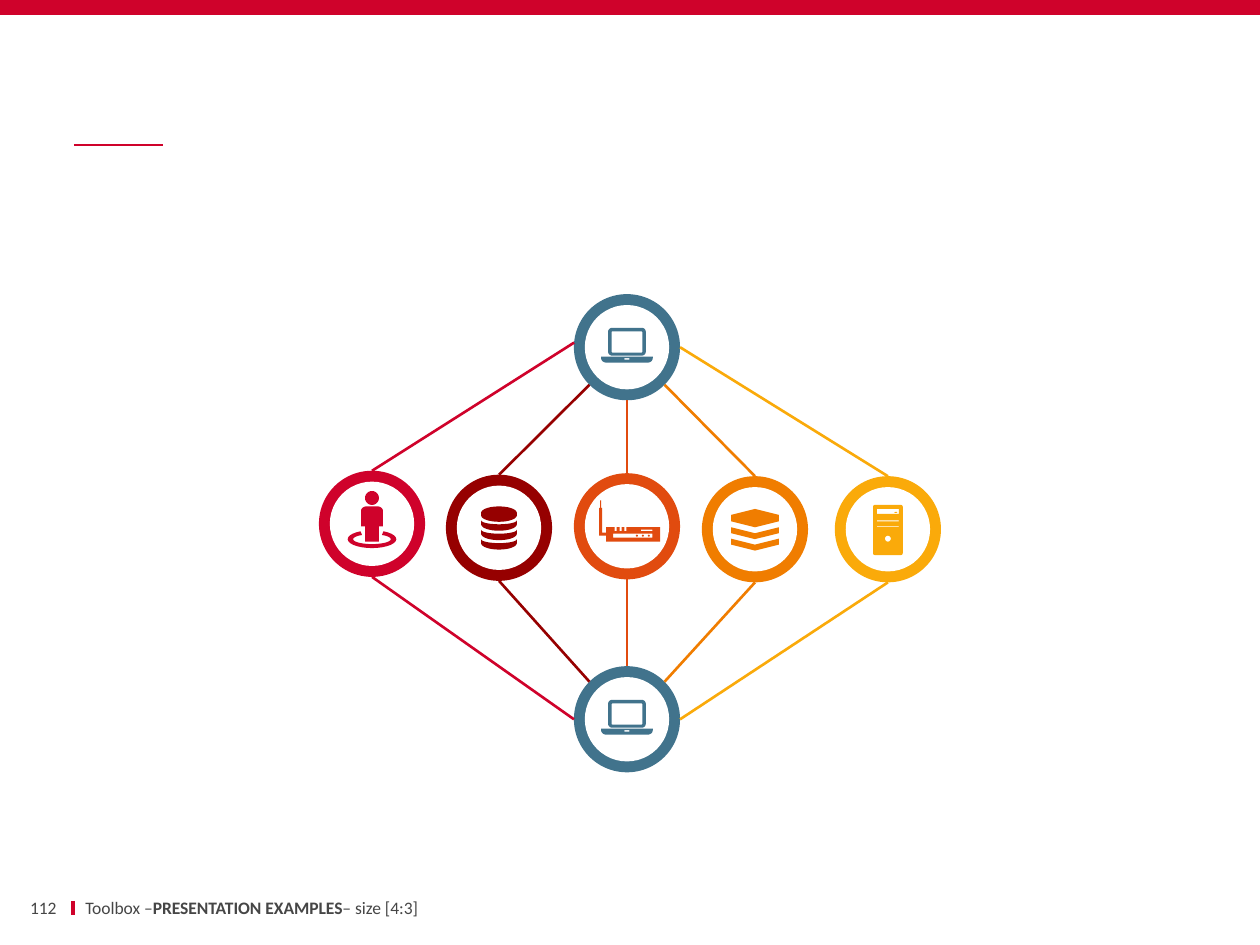
from dataclasses import dataclass
from math import cos, radians, sin

from pptx import Presentation
from pptx import util as u
from pptx.dml.color import RGBColor
from pptx.enum import shapes, text
from pptx.oxml import ns, xmlchemy


@dataclass(frozen=True)
class Theme:
    """Colours, font and sizes used on the page."""
    red: str = "CF022B"
    maroon: str = "960000"
    vermilion: str = "E14B0F"
    orange: str = "F07D00"
    amber: str = "FAAA0A"
    blue: str = "41738C"
    white: str = "FFFFFF"
    grey: str = "464646"
    font: str = "Calibri"
    footer_size: float = 10
    link_width: float = 1.5


THEME = Theme()
RING_RADIUS = 1.07
HOLE_RADIUS = 0.85


def arc(x, y, rx, ry, start, end, steps=24):
    """Return points along an elliptical arc, with angles clockwise from the right."""
    angles = [radians(start + (end - start) * i / steps) for i in range(steps + 1)]
    return [(x + rx * cos(a), y + ry * sin(a)) for a in angles]


def rect(left, top, right, bottom):
    """Return the corners of a rectangle."""
    return [(left, top), (right, top), (right, bottom), (left, bottom)]


def rounded(left, top, right, bottom, r):
    """Return the outline of a rectangle with rounded corners."""
    corners = rect(left + r, top + r, right - r, bottom - r)
    return [point for i, (x, y) in enumerate(corners)
            for point in arc(x, y, r, r, 180 + 90 * i, 270 + 90 * i, 6)]


def laptop():
    """Return the contours of a laptop."""
    base = [(-0.52, 0.19), (0.52, 0.19)]
    base += arc(0.42, 0.22, 0.1, 0.09, 0, 90) + arc(-0.42, 0.22, 0.1, 0.09, 90, 180)
    return [rounded(-0.38, -0.39, 0.38, 0.17, 0.08),
            rounded(-0.31, -0.32, 0.31, 0.11, 0.02),
            base, rect(-0.05, 0.22, 0.05, 0.25)]


def person():
    """Return the contours of a person standing in a ring."""
    body = arc(-0.11, -0.26, 0.11, 0.09, 180, 270) + arc(0.11, -0.26, 0.11, 0.09, 270, 360)
    body += [(0.22, 0.05), (0.14, 0.05), (0.14, 0.36),
             (-0.14, 0.36), (-0.14, 0.05), (-0.22, 0.05)]
    ring = arc(0, 0.31, 0.49, 0.18, -62, 242) + arc(0, 0.31, 0.38, 0.1, 238, -58)
    return [arc(0, -0.52, 0.14, 0.14, 0, 360), body, ring]


def database():
    """Return the contours of a stack of disks."""
    lid = arc(0, -0.3, 0.36, 0.13, 180, 360) + arc(0, -0.25, 0.36, 0.13, 0, 180)
    bands = [arc(0, y, 0.36, 0.08, 180, 0) + arc(0, y + 0.08, 0.36, 0.13, 0, 180)
             for y in (-0.15, 0.04, 0.23)]
    return [lid] + bands


def router():
    """Return the contours of a router with its antenna."""
    antenna = [(-0.56, 0.19), (-0.56, -0.37), (-0.54, -0.37), (-0.54, -0.52),
               (-0.52, -0.52), (-0.52, -0.37), (-0.5, -0.37), (-0.5, 0.13), (-0.42, 0.13)]
    notches = [point for x in (-0.25, -0.15, -0.05)
               for point in ((x, 0.02), (x, 0.1), (x + 0.04, 0.1), (x + 0.04, 0.02))]
    case = [(-0.42, 0.02)] + notches
    case += [(0.67, 0.02), (0.67, 0.31), (-0.42, 0.31), (-0.42, 0.19)]
    lamps = [arc(x, 0.19, 0.02, 0.02, 0, 360, 12) for x in (0.2, 0.32, 0.44)]
    return [antenna + case, rect(0.28, 0.07, 0.51, 0.1), rect(-0.28, 0.15, 0.51, 0.23)] + lamps


def layers():
    """Return the contours of three stacked layers."""
    top = [(-0.48, -0.29), (0, -0.41), (0.48, -0.29), (0.48, -0.16), (0, -0.04), (-0.48, -0.16)]
    bands = [[(-0.48, y), (0, y + 0.12), (0.48, y), (0.48, y + 0.12),
              (0, y + 0.24), (-0.48, y + 0.12)] for y in (-0.04, 0.19)]
    return [top] + bands


def server():
    """Return the contours of a server tower."""
    slits = [rect(-0.22, y, 0.22, y + 0.02) for y in (-0.18, -0.07)]
    return [rounded(-0.3, -0.49, 0.3, 0.52, 0.04), rect(-0.22, -0.41, 0.22, -0.31),
            arc(0.16, -0.34, 0.03, 0.01, 0, 360, 12),
            arc(0, 0.19, 0.06, 0.06, 0, 360)] + slits


def paint(shape, colour):
    """Give a shape a flat fill without line or shadow."""
    shape.shadow.inherit = False
    shape.fill.solid()
    shape.fill.fore_color.rgb = RGBColor.from_string(colour)
    shape.line.fill.background()


def add_ring(page, centre, colour):
    """Draw a coloured disk with a white disk on top."""
    x, y = centre
    for radius, fill in ((RING_RADIUS, colour), (HOLE_RADIUS, THEME.white)):
        disk = page.shapes.add_shape(shapes.MSO_SHAPE.OVAL, u.Cm(x - radius), u.Cm(y - radius),
                                     u.Cm(2 * radius), u.Cm(2 * radius))
        paint(disk, fill)


def add_icon(page, centre, contours, colour):
    """Draw contours around a centre as one filled outline."""
    placed = [[(u.Cm(centre[0] + x), u.Cm(centre[1] + y)) for x, y in contour]
              for contour in contours]
    builder = page.shapes.build_freeform(*placed[0][0])
    for i, points in enumerate(placed):
        if i:
            builder.move_to(*points[0])
        builder.add_line_segments(points[1:], close=True)
    paint(builder.convert_to_shape(), colour)


def add_line(page, start, end, colour, width):
    """Draw a straight line without shadow."""
    line = page.shapes.add_connector(shapes.MSO_CONNECTOR.STRAIGHT,
                                     *(u.Cm(value) for value in (*start, *end)))
    line.line.color.rgb = RGBColor.from_string(colour)
    line.line.width = u.Pt(width)
    properties = line._element.find(ns.qn("p:spPr"))
    properties.append(xmlchemy.OxmlElement("a:effectLst"))


def add_label(page, box, spans, align, margin):
    """Write one line of footer text from pairs of wording and weight."""
    label = page.shapes.add_textbox(*(u.Cm(value) for value in box))
    frame = label.text_frame
    frame.word_wrap = True
    frame.vertical_anchor = text.MSO_ANCHOR.MIDDLE
    frame.margin_left = frame.margin_right = u.Cm(margin)
    para = frame.paragraphs[0]
    para.alignment = align
    for wording, bold in spans:
        span = para.add_run()
        span.text = wording
        span.font.name = THEME.font
        span.font.size = u.Pt(THEME.footer_size)
        span.font.bold = bold
        span.font.color.rgb = RGBColor.from_string(THEME.grey)


def add_frame(page):
    """Draw the top band, the title rule and the footer."""
    band = page.shapes.add_shape(shapes.MSO_SHAPE.RECTANGLE, 0, 0, u.Cm(25.4), u.Cm(0.3))
    paint(band, THEME.red)
    add_line(page, (1.49, 2.92), (3.28, 2.92), THEME.red, 1)
    add_line(page, (1.47, 18.16), (1.47, 18.44), THEME.red, 2.25)
    add_label(page, (0.33, 18.06, 0.81, 0.46), [("112", False)], text.PP_ALIGN.RIGHT, 0)
    add_label(page, (1.47, 18.06, 12.62, 0.46),
              [("Toolbox –", False), ("PRESENTATION EXAMPLES", True), ("– size [4:3]", False)],
              text.PP_ALIGN.LEFT, 0.25)


def add_network(page):
    """Draw two hubs, five nodes and the links between them."""
    hubs = [(12.64, 7), (12.64, 14.5)]
    nodes = [((7.5, 10.56), THEME.red, person, (185, 180)),
             ((10.06, 10.64), THEME.maroon, database, (135, 225)),
             ((12.64, 10.61), THEME.vermilion, router, (90, 270)),
             ((15.22, 10.67), THEME.orange, layers, (45, 315)),
             ((17.9, 10.67), THEME.amber, server, (0, 0))]
    rings = [(hub, THEME.blue, laptop) for hub in hubs] + [node[:3] for node in nodes]
    for centre, colour, _ in rings:
        add_ring(page, centre, colour)
    for (x, y), colour, _, angles in nodes:
        for hub, angle, side in zip(hubs, angles, (-1, 1)):
            start = arc(*hub, RING_RADIUS, RING_RADIUS, angle, angle, 1)[0]
            add_line(page, start, (x, y + side * RING_RADIUS), colour, THEME.link_width)
    for centre, colour, icon in rings:
        add_icon(page, centre, icon(), colour)


def main():
    """Build and save the deck."""
    deck = Presentation()
    deck.slide_width, deck.slide_height = u.Cm(25.4), u.Cm(19.05)
    page = deck.slides.add_slide(deck.slide_layouts[6])
    add_frame(page)
    add_network(page)
    deck.save("out.pptx")


if __name__ == "__main__":
    main()
